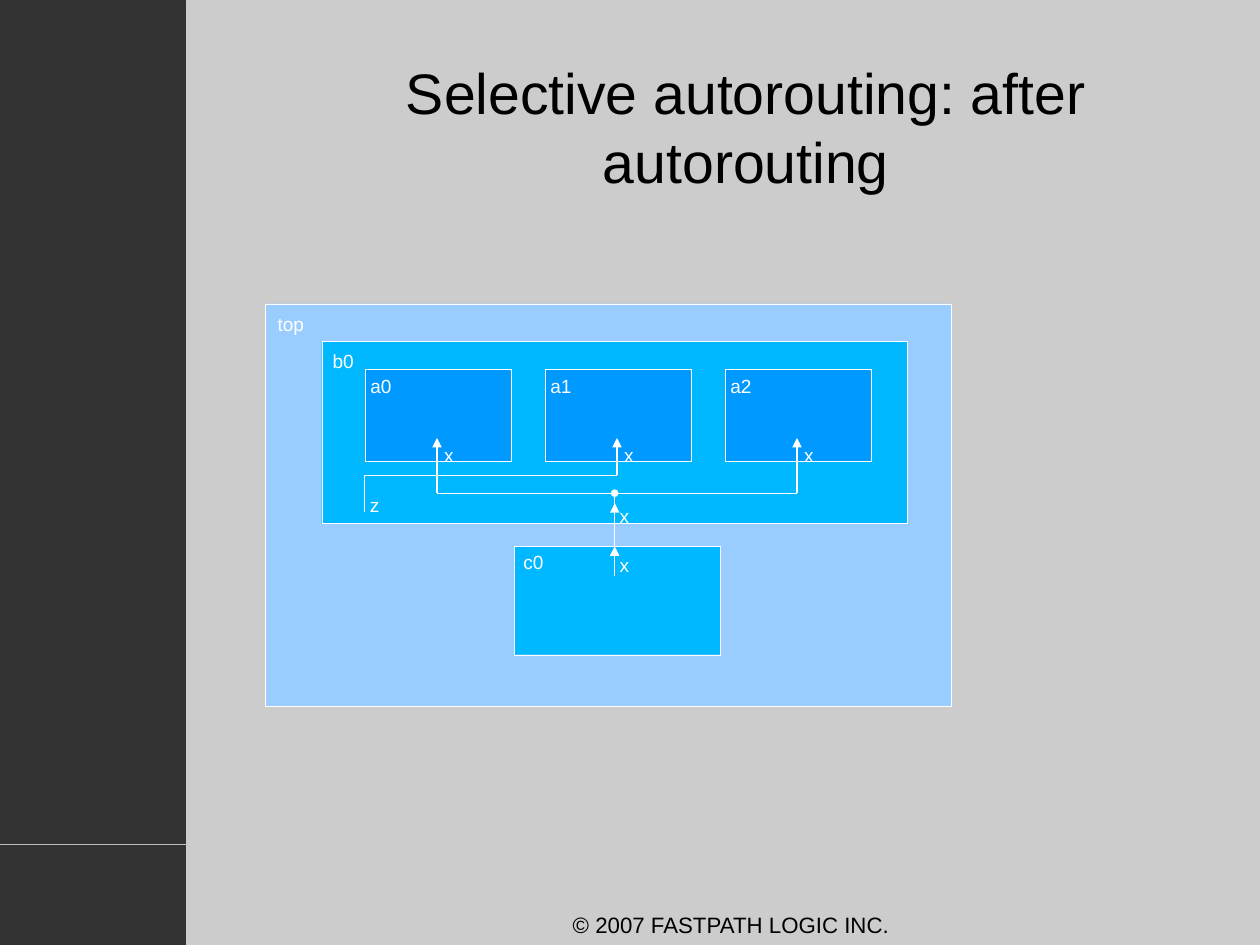
from lxml import etree
from pptx import Presentation
from pptx.dml.color import RGBColor
from pptx.enum.shapes import MSO_CONNECTOR, MSO_SHAPE
from pptx.enum.text import MSO_ANCHOR, PP_ALIGN
from pptx.oxml.ns import qn
from pptx.util import Cm, Pt

COLORS = {
    "background": "CCCCCC",
    "sidebar": "333333",
    "silver": "C0C0C0",
    "top": "99CCFF",
    "block": "00B8FF",
    "cell": "0099FF",
    "white": "FFFFFF",
    "black": "000000",
}
FONT = "Arial"
CELL_PITCH = 4.0
WIRE = 0.71
HAIRLINE = 0.1


def color(name):
    return RGBColor.from_string(COLORS[name])


def write(frame, text, size=12, fill="white", align=PP_ALIGN.LEFT):
    """Fill a text frame with one formatted paragraph."""
    frame.word_wrap = True
    paragraph = frame.paragraphs[0]
    paragraph.alignment = align
    run = paragraph.add_run()
    run.text = text
    run.font.name = FONT
    run.font.size = Pt(size)
    run.font.color.rgb = color(fill)


def add_label(slide, text, left, top, width=1.4, height=0.74, **text_format):
    box = slide.shapes.add_textbox(Cm(left), Cm(top), Cm(width), Cm(height))
    write(box.text_frame, text, **text_format)


def add_block(slide, left, top, width, height, fill, line="white",
              kind=MSO_SHAPE.RECTANGLE):
    shape = slide.shapes.add_shape(kind, Cm(left), Cm(top), Cm(width), Cm(height))
    shape.shadow.inherit = False
    shape.fill.solid()
    shape.fill.fore_color.rgb = color(fill)
    shape.line.color.rgb = color(line)
    shape.line.width = Pt(HAIRLINE)


def add_wire(slide, start, end, arrow=False, line="white", width=WIRE):
    wire = slide.shapes.add_connector(
        MSO_CONNECTOR.STRAIGHT, *(Cm(value) for value in (*start, *end)))
    wire.line.color.rgb = color(line)
    wire.line.width = Pt(width)
    if arrow:
        etree.SubElement(wire.line._get_or_add_ln(), qn("a:tailEnd"), type="triangle")
    etree.SubElement(wire._element.spPr, qn("a:effectLst"))


def add_sidebar(slide):
    add_block(slide, 0, 0, 4.12, 21, "sidebar", line="sidebar")
    add_wire(slide, (0, 18.75), (4.17, 18.75), line="silver", width=HAIRLINE)


def add_title(slide):
    title = slide.shapes.title
    title.left, title.top, title.width, title.height = (
        Cm(7.24), Cm(0.97), Cm(18.67), Cm(3.66))
    frame = title.text_frame
    frame.margin_left = frame.margin_right = frame.margin_top = frame.margin_bottom = 0
    frame.vertical_anchor = MSO_ANCHOR.MIDDLE
    write(frame, "Selective autorouting: after autorouting", size=36, fill="black",
          align=PP_ALIGN.CENTER)


def add_hierarchy(slide):
    # Enclosing blocks
    add_block(slide, 5.9, 6.75, 15.24, 8.95, "top")
    add_label(slide, "top", 5.92, 6.83)
    add_block(slide, 7.15, 7.59, 13.01, 4.04, "block")
    add_label(slide, "b0", 7.14, 7.65)
    add_block(slide, 11.43, 12.14, 4.58, 2.41, "block")
    add_label(slide, "c0", 11.38, 12.1)

    # Row of cells inside b0
    for index in range(3):
        shift = index * CELL_PITCH
        add_block(slide, 8.12 + shift, 8.21, 3.23, 2.04, "cell")
        add_label(slide, f"a{index}", 7.98 + shift, 8.2)
        add_label(slide, "x", 9.62 + shift, 9.72, width=0.8)


def add_routing(slide):
    pin_y, z_y, bus_y = 9.73, 10.56, 10.96
    pins = [9.71 + index * CELL_PITCH for index in range(3)]
    trunk = 13.66

    # Arrows into the cell pins; a1 is fed by z, the others by the bus
    for pin, source_y in zip(pins, (bus_y, z_y, bus_y)):
        add_wire(slide, (pin, source_y), (pin, pin_y), arrow=True)

    # Signal z
    add_wire(slide, (8.1, z_y), (8.1, 11.38))
    add_wire(slide, (8.1, z_y), (pins[1], z_y))
    add_label(slide, "z", 7.97, 10.85, width=0.8)

    # Signal x from c0 up to the bus
    add_wire(slide, (pins[0], bus_y), (pins[2], bus_y))
    add_wire(slide, (trunk, 12.8), (trunk, 12.14), arrow=True)
    add_wire(slide, (trunk, 12.22), (trunk, 11.18), arrow=True)
    add_wire(slide, (trunk, 11.25), (trunk, 11))
    for label_y in (11.09, 12.17):
        add_label(slide, "x", 13.52, label_y, width=0.8)
    add_block(slide, trunk - 0.08, bus_y - 0.08, 0.16, 0.16, "white",
              kind=MSO_SHAPE.OVAL)


def main():
    presentation = Presentation()
    presentation.slide_width, presentation.slide_height = Cm(28), Cm(21)
    slide = presentation.slides.add_slide(presentation.slide_layouts[5])
    slide.background.fill.solid()
    slide.background.fill.fore_color.rgb = color("background")

    add_sidebar(slide)
    add_title(slide)
    add_hierarchy(slide)
    add_routing(slide)

    # Copyright line
    add_label(slide, "© 2007 FASTPATH LOGIC INC.", 9.68, 20.12, 13.13, 0.86,
              size=14, fill="black", align=PP_ALIGN.CENTER)
    presentation.save("out.pptx")


if __name__ == "__main__":
    main()
